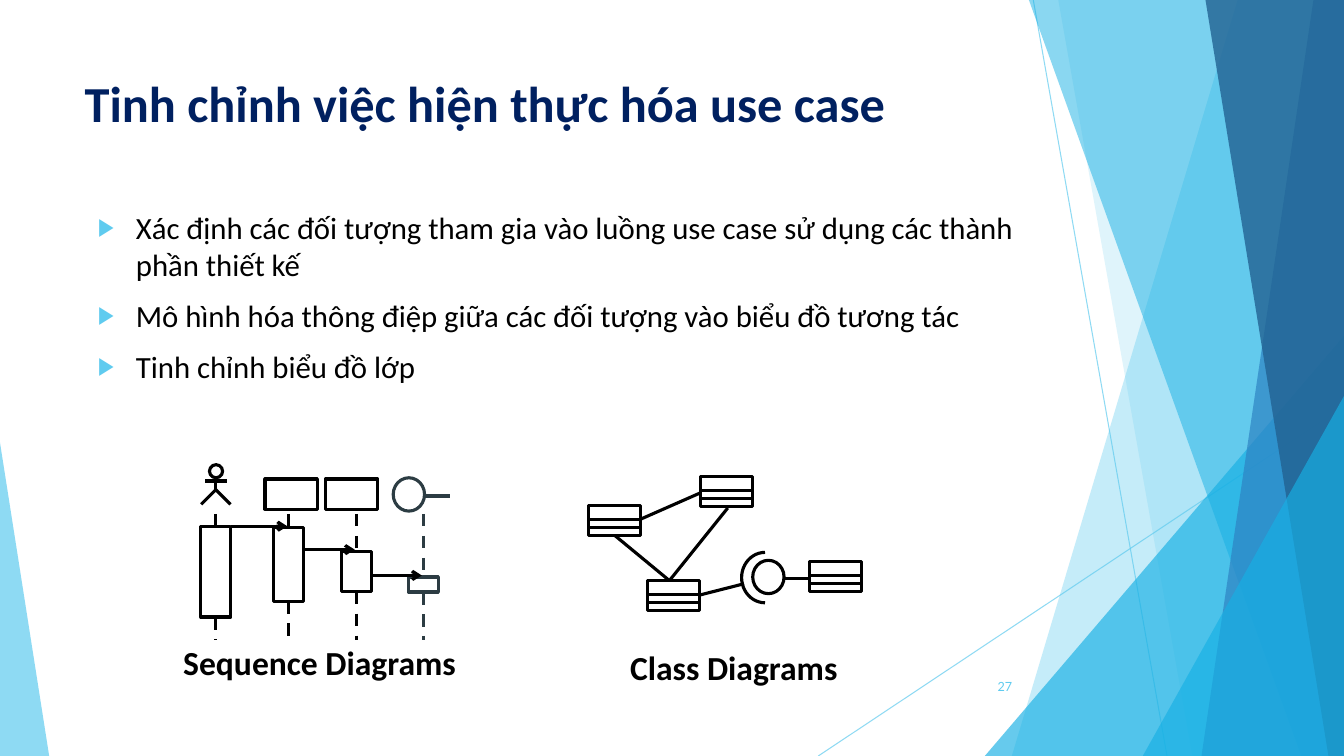
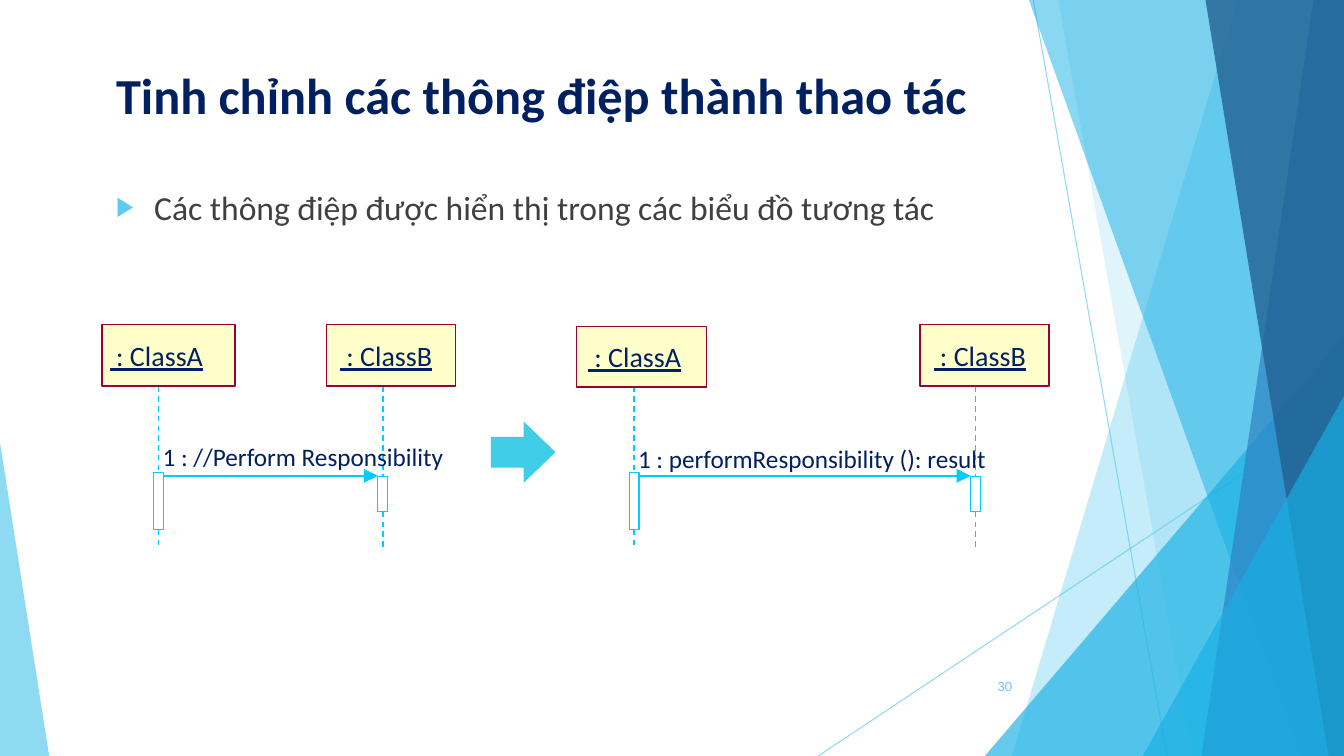
from dataclasses import dataclass
from itertools import pairwise

from pptx import Presentation
from pptx.dml.color import RGBColor
from pptx.enum.dml import MSO_LINE
from pptx.enum.shapes import MSO_CONNECTOR, MSO_SHAPE
from pptx.enum.text import MSO_ANCHOR, MSO_AUTO_SIZE, PP_ALIGN
from pptx.oxml.xmlchemy import OxmlElement
from pptx.util import Cm, Pt

STRAIGHT, DASH = MSO_CONNECTOR.STRAIGHT, MSO_LINE.DASH
RECTANGLE, ELLIPSE, ARC = MSO_SHAPE.RECTANGLE, MSO_SHAPE.OVAL, MSO_SHAPE.ARC
TRIANGLE, RIGHT_ARROW = MSO_SHAPE.ISOSCELES_TRIANGLE, MSO_SHAPE.RIGHT_ARROW
TOP, MIDDLE = MSO_ANCHOR.TOP, MSO_ANCHOR.MIDDLE
LEFT, CENTER, RIGHT = PP_ALIGN.LEFT, PP_ALIGN.CENTER, PP_ALIGN.RIGHT
WIDTH, HEIGHT = 33.87, 19.05
CLASS_WIDTH, CLASS_HEIGHT = 1.32, 0.76


@dataclass(frozen=True)
class Theme:
    font: str = "Calibri"
    number_font: str = "Lato"
    navy: str = "002060"
    black: str = "000000"
    grey: str = "404040"
    slate: str = "2C3C43"
    sky: str = "5FCBEF"
    azure: str = "17B0E4"
    blue: str = "2E83C3"
    deep_blue: str = "226292"
    cyan: str = "00CCFF"
    turquoise: str = "3FCDE7"
    cream: str = "FFFFCC"
    maroon: str = "990033"
    title_size: float = 36
    caption_size: float = 24
    object_size: float = 20
    message_size: float = 18
    number_size: float = 9
    hairline: float = 0.75
    thin: float = 1
    thick: float = 2.25


THEME = Theme()


def write(paragraph, text, *, size, color, font=THEME.font, bold=False,
          underline=False, align=LEFT):
    paragraph.alignment = align
    run = paragraph.add_run()
    run.text = text
    run.font.name, run.font.size = font, Pt(size)
    run.font.bold, run.font.underline = bold, underline
    run.font.color.rgb = RGBColor.from_string(color)


def add_child(parent, tag, **attributes):
    child = OxmlElement(tag)
    for name, value in attributes.items():
        child.set(name, str(value))
    parent.append(child)
    return child


def set_opacity(shape, percent):
    for color in shape.element.iter("{*}srgbClr"):
        add_child(color, "a:alpha", val=percent * 1000)


def add_bullet(paragraph, color, indent=0.96):
    properties = paragraph._p.get_or_add_pPr()
    properties.set("marL", str(Cm(indent)))
    properties.set("indent", str(-Cm(indent)))
    add_child(add_child(properties, "a:buClr"), "a:srgbClr", val=color)
    add_child(properties, "a:buSzPct", val=80000)
    add_child(properties, "a:buChar", char="▶")


class Deck:
    """Holds the theme, the current slide and the shapes being drawn into."""

    def __init__(self, theme):
        self.theme = theme
        self.presentation = Presentation()
        self.presentation.slide_width = Cm(WIDTH)
        self.presentation.slide_height = Cm(HEIGHT)
        self.slide = self.shapes = None

    def add_slide(self, number):
        layout = self.presentation.slide_layouts[1]
        self.slide = self.presentation.slides.add_slide(layout)
        self.shapes = self.slide.shapes
        self.text(str(number), 23.85, 16.79, 1.91, 1.02, anchor=MIDDLE, wrap=True,
                  size=self.theme.number_size, color=self.theme.sky,
                  font=self.theme.number_font, align=RIGHT)

    def add_backdrop(self):
        """Draw the facets in a group and hand it over to the slide master."""
        theme = self.theme
        group = self.slide.shapes.add_group_shape()
        self.shapes = group.shapes
        for start, end in (((26.04, 0), (29.41, HEIGHT)),
                           ((WIDTH, 10.24), (20.62, HEIGHT))):
            set_opacity(self.line(start, end, theme.sky, theme.hairline), 70)
        self.facet(31.19, 25.5, theme.sky, 36)
        self.facet(26.67, 30.05, theme.sky, 20)
        self.corner(24.82, 8.46, 9.05, theme.azure, 66)
        self.facet(25.93, 32.79, theme.azure, 50)
        self.facet(33.1, 30.28, theme.blue, 70)
        self.facet(30.38, 33.48, theme.deep_blue, 80)
        self.corner(28.8, 9.98, 5.07, theme.azure, 66)
        self.corner(0, 11.15, 1.24, theme.sky, 70, apex=0)
        for identifier, item in enumerate(group.element.iter("{*}cNvPr"), 100):
            item.set("id", str(identifier))
        self.presentation.slide_master.shapes.element.insert(2, group.element)
        self.shapes = self.slide.shapes

    def facet(self, top_x, bottom_x, color, opacity):
        """Fill everything between a slanted edge and the right slide edge."""
        shape = self.outline([(top_x, 0), (WIDTH, 0), (WIDTH, HEIGHT),
                              (bottom_x, HEIGHT)], close=True, fill=color)
        set_opacity(shape, opacity)

    def corner(self, x, y, width, color, opacity, apex=1):
        shape = self.shape(TRIANGLE, x, y, width, HEIGHT - y, [apex], fill=color)
        set_opacity(shape, opacity)

    def outline(self, points, close=False, **paint):
        start, *others = [(Cm(x), Cm(y)) for x, y in points]
        builder = self.shapes.build_freeform(*start, scale=1.0)
        builder.add_line_segments(others, close=close)
        return self.paint(builder.convert_to_shape(), **paint)

    def paint(self, shape, fill=None, stroke=None, weight=THEME.thick):
        shape.shadow.inherit = False
        shape.line.width = Pt(weight)
        for part, color in ((shape.fill, fill), (shape.line.fill, stroke)):
            if color:
                part.solid()
                part.fore_color.rgb = RGBColor.from_string(color)
            else:
                part.background()
        return shape

    def shape(self, kind, x, y, width, height, adjustments=(), **paint):
        shape = self.shapes.add_shape(kind, Cm(x), Cm(y), Cm(width), Cm(height))
        for index, value in enumerate(adjustments):
            shape.adjustments[index] = value
        return self.paint(shape, **paint)

    def line(self, start, end, color=THEME.black, weight=THEME.thick, dash=None,
             **arrow):
        line = self.shapes.add_connector(STRAIGHT, *map(Cm, (*start, *end)))
        line.line.color.rgb = RGBColor.from_string(color)
        line.line.width = Pt(weight)
        line.line.dash_style = dash
        if arrow:
            add_child(next(line.element.iter("{*}ln")), "a:tailEnd", **arrow)
        add_child(line.element.spPr, "a:effectLst")
        return line

    def text(self, text, x, y, width, height, anchor=TOP, wrap=False, **style):
        box = self.shapes.add_textbox(Cm(x), Cm(y), Cm(width), Cm(height))
        box.text_frame.word_wrap = wrap
        box.text_frame.vertical_anchor = anchor
        write(box.text_frame.paragraphs[0], text, **style)

    def placeholder(self, shape, x, y, width, height):
        shape.left, shape.top = Cm(x), Cm(y)
        shape.width, shape.height = Cm(width), Cm(height)
        frame = shape.text_frame
        frame.vertical_anchor = TOP
        frame.auto_size = MSO_AUTO_SIZE.NONE
        return frame

    def title(self, text, *box):
        frame = self.placeholder(self.slide.shapes.title, *box)
        write(frame.paragraphs[0], text, size=self.theme.title_size,
              color=self.theme.navy, bold=True)

    def bullets(self, items, *box, **style):
        frame = self.placeholder(self.slide.placeholders[1], *box)
        for index, item in enumerate(items):
            paragraph = frame.add_paragraph() if index else frame.paragraphs[0]
            add_bullet(paragraph, self.theme.sky)
            paragraph.space_before = Pt(10 if index else 0)
            write(paragraph, item, **style)

    def caption(self, text, x, y, width):
        self.text(text, x, y, width, 1.27, size=self.theme.caption_size,
                  color=self.theme.black, bold=True, align=CENTER)

    def lifeline(self, center, start, top, height, end, *, width, color,
                 dash_weight, box_weight):
        """Draw an activation bar with dashes above and below it."""
        for upper, lower in ((start, top), (top + height, end)):
            self.line((center, upper), (center, lower), color, dash_weight, DASH)
        self.shape(RECTANGLE, center - width / 2, top, width, height,
                   stroke=color, weight=box_weight)

    def lollipop(self, x, y, color):
        """Draw an interface circle with its stem."""
        self.shape(ELLIPSE, x, y, 0.79, 0.84, stroke=color)
        self.line((x + 0.79, y + 0.46), (x + 1.42, y + 0.46), color)

    def actor(self, center, top):
        hip, foot = top + 0.63, top + 1
        self.shape(ELLIPSE, center - 0.16, top, 0.33, 0.33, stroke=self.theme.black)
        self.line((center, top + 0.33), (center, hip))
        self.line((center - 0.27, top + 0.41), (center + 0.27, top + 0.41))
        self.outline([(center - 0.37, foot), (center, hip), (center + 0.37, foot)],
                     stroke=self.theme.black)

    def class_box(self, x, y):
        self.shape(RECTANGLE, x, y, CLASS_WIDTH, CLASS_HEIGHT, stroke=self.theme.black)
        for divider in (y + 0.36, y + 0.56):
            self.line((x, divider), (x + CLASS_WIDTH, divider))

    def object_box(self, text, x, y, width, height, inset):
        theme = self.theme
        frame = self.shape(RECTANGLE, x, y, width, height, fill=theme.cream,
                           stroke=theme.maroon, weight=theme.thin).text_frame
        frame.margin_left, frame.margin_right = Cm(inset), 0
        frame.vertical_anchor = MIDDLE
        write(frame.paragraphs[0], text, size=theme.object_size,
              color=theme.navy, underline=True)


def sequence_sketch(deck):
    black, slate, thick = THEME.black, THEME.slate, THEME.thick
    deck.actor(5.44, 11.71)
    for x in (6.68, 8.2):
        deck.shape(RECTANGLE, x, 12.07, CLASS_WIDTH, CLASS_HEIGHT, stroke=black)
    deck.lollipop(9.91, 12.04, slate)
    activations = [(5.44, 13.26, 2.29, black), (7.28, 13.3, 1.85, black),
                   (8.98, 13.89, 1.02, black), (10.67, 14.54, 0.38, slate)]
    for center, top, height, color in activations:
        deck.lifeline(center, 12.95, top, height, 16.13, width=0.76, color=color,
                      dash_weight=thick, box_weight=thick)
    for (source, *_), (target, top, *_) in pairwise(activations):
        deck.line((source + 0.38, top - 0.04), (target - 0.04, top - 0.04), type="arrow")
    deck.caption("Sequence Diagrams", 4.32, 16.05, 7.47)


def class_sketch(deck):
    for x, y in ((14.83, 12.73), (17.65, 12.01), (16.31, 14.63), (20.4, 14.15)):
        deck.class_box(x, y)
    for start, end in (((16.87, 14.63), (15.49, 13.49)), ((16.15, 13.08), (17.65, 12.42)),
                       ((17.65, 14.99), (18.75, 14.71)), ((16.87, 14.63), (18.34, 12.8))):
        deck.line(start, end)
    deck.lollipop(18.97, 14.12, THEME.black)
    # 54 and 162 stand for 90 and 270 degrees
    deck.shape(ARC, 18.69, 13.92, 1.18, 1.27, [54, 162], stroke=THEME.black)
    deck.caption("Class Diagrams", 15.6, 16.18, 5.79)


def message_exchange(deck, source, target, boxes, label, label_top, label_width):
    """Draw two objects, their lifelines and the message between them."""
    for center, top, height in ((source, 11.9, 1.45), (target, 12.01, 0.89)):
        deck.lifeline(center, 9.5, top, height, 13.8, width=0.25, color=THEME.cyan,
                      dash_weight=THEME.thin, box_weight=THEME.hairline)
    for name, box in zip((" : ClassA", " : ClassB"), boxes):
        deck.object_box(name, *box)
    deck.line((source + 0.12, 11.99), (target - 0.13, 11.99), THEME.cyan, THEME.thin,
              type="triangle", w="lg", len="lg")
    deck.text(label, source - 0.15, label_top, label_width, 1.02,
              size=THEME.message_size, color=THEME.navy)


def main():
    deck = Deck(THEME)
    deck.add_slide(27)
    deck.add_backdrop()
    deck.title("Tinh chỉnh việc hiện thực hóa use case", 1.88, 1.7, 23.88, 3.66)
    deck.bullets(["Xác định các đối tượng tham gia vào luồng use case sử dụng các thành "
                  "phần thiết kế",
                  "Mô hình hóa thông điệp giữa các đối tượng vào biểu đồ tương tác",
                  "Tinh chỉnh biểu đồ lớp"],
                 2.21, 5.13, 23.88, 5.21, size=22, color=THEME.black)
    sequence_sketch(deck)
    class_sketch(deck)

    deck.add_slide(30)
    deck.title("Tinh chỉnh các thông điệp thành thao tác", 2.67, 1.5, 23.88, 2.29)
    deck.bullets(["Các thông điệp được hiển thị trong các biểu đồ tương tác"],
                 2.67, 4.57, 23.57, 12.34, size=24, color=THEME.grey)
    message_exchange(deck, 4, 9.65,
                     [(2.57, 8.18, 3.35, 1.55, 0.2), (8.23, 8.18, 3.25, 1.55, 0.34)],
                     "1 : //Perform Responsibility", 11, 7.9)
    message_exchange(deck, 15.98, 24.59,
                     [(14.53, 8.23, 3.28, 1.52, 0.29), (23.19, 8.18, 3.25, 1.55, 0.34)],
                     "1 : performResponsibility (): result", 11.05, 9.6)
    deck.shape(RIGHT_ARROW, 12.37, 10.62, 1.63, 1.55, [0.5, 0.52], fill=THEME.turquoise)
    deck.presentation.save("out.pptx")


if __name__ == "__main__":
    main()
